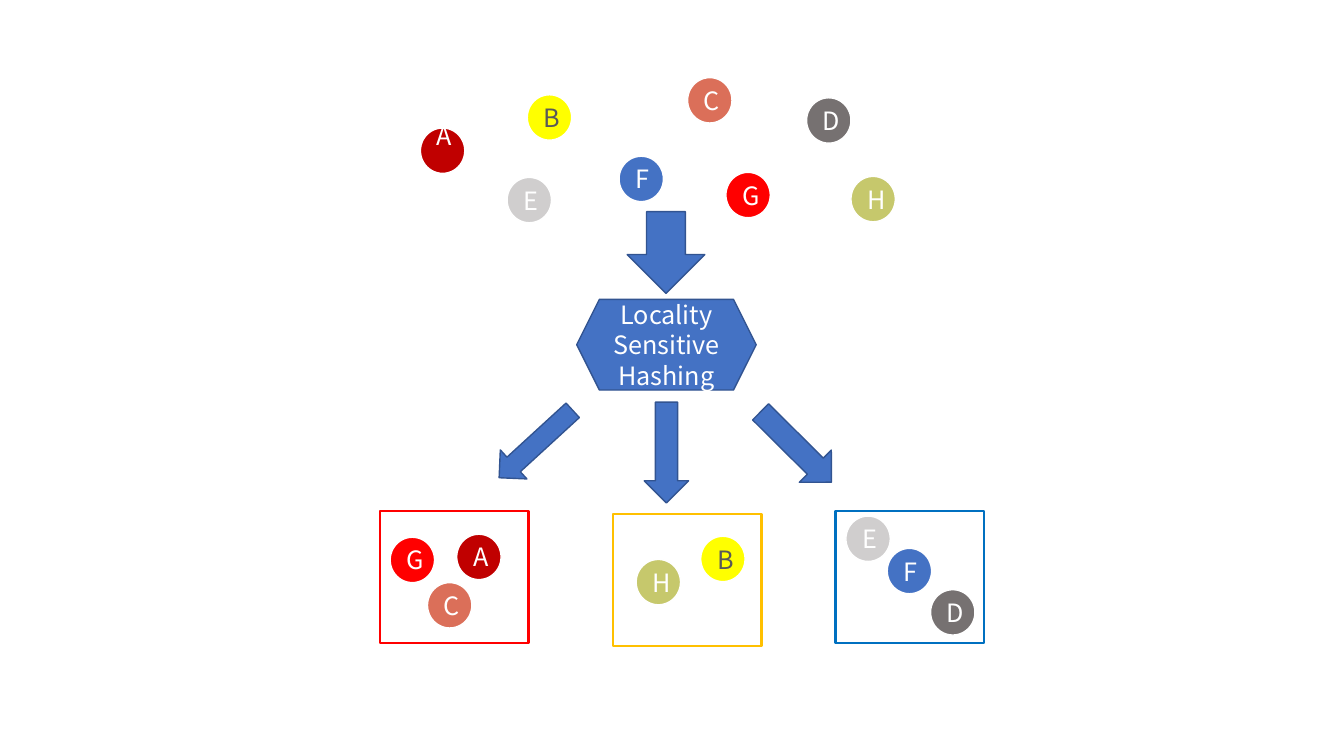
from pptx import Presentation
from pptx.dml.color import RGBColor
from pptx.enum.shapes import MSO_SHAPE
from pptx.enum.text import MSO_ANCHOR, PP_ALIGN
from pptx.util import Inches, Pt

FONT = "Noto Sans CJK SC"
BLUE, NAVY, WHITE = "4472C4", "325491", "FFFFFF"
ITEM_FILLS = {"A": "C00000", "B": "FFFF00", "C": "DB6F59", "D": "767171",
              "E": "D0CECE", "F": BLUE, "G": "FF0000", "H": "C6C86C"}


def rgb(color):
    return RGBColor.from_string(color)


def add_shape(s, kind, x, y, w, h, fill, line, line_width=1):
    sp = s.shapes.add_shape(kind, Inches(x), Inches(y), Inches(w), Inches(h))
    sp.shadow.inherit = False
    if fill:
        sp.fill.solid()
        sp.fill.fore_color.rgb = rgb(fill)
    else:
        sp.fill.background()
    sp.line.color.rgb = rgb(line)
    sp.line.width = Pt(line_width)
    return sp


def add_text(sp, lines, color=WHITE):
    tf = sp.text_frame
    tf.word_wrap = True
    tf.vertical_anchor = MSO_ANCHOR.MIDDLE
    for i, line in enumerate(lines):
        p = tf.add_paragraph() if i else tf.paragraphs[0]
        p.alignment = PP_ALIGN.CENTER
        r = p.add_run()
        r.text = line
        r.font.name = FONT
        r.font.size = Pt(18)
        r.font.color.rgb = rgb(color)


def add_items(s, x, y, items):
    """Place lettered circles at offsets from the corner (x, y)."""
    for label, dx, dy in items:
        letter = label.strip()
        sp = add_shape(s, MSO_SHAPE.FLOWCHART_CONNECTOR, x + dx, y + dy,
                       0.44, 0.45, ITEM_FILLS[letter], WHITE)
        add_text(sp, [label], "595959" if letter == "B" else WHITE)


def add_bucket(s, x, y, color, items):
    add_shape(s, MSO_SHAPE.RECTANGLE, x, y, 1.47, 1.31, None, color, 2)
    add_items(s, x, y, items)


def add_hash_step(s, x, y, w, h):
    sp = add_shape(s, MSO_SHAPE.HEXAGON, x, y, w, h, BLUE, NAVY)
    add_text(sp, ["Locality Sensitive", "Hashing"])


def add_arrow(s, x, y, w, h, angle):
    sp = add_shape(s, MSO_SHAPE.RIGHT_ARROW, x, y, w, h, BLUE, NAVY)
    sp.rotation = angle


def main():
    prs = Presentation()
    prs.slide_width, prs.slide_height = Inches(13.33), Inches(7.5)
    s = prs.slides.add_slide(prs.slide_layouts[6])

    add_items(s, 4.17, 0.77, [
        ("A ", 0, 0.5), ("B", 1.06, 0.17), ("C", 2.65, 0), ("E", 0.86, 0.99),
        ("H", 4.27, 0.98), ("G", 3.03, 0.94), ("F", 1.97, 0.78), ("D", 3.83, 0.2)])

    add_bucket(s, 3.77, 5.07, "FF0000",
               [("A", 0.76, 0.23), ("C", 0.47, 0.71), ("G", 0.1, 0.26)])
    add_bucket(s, 6.08, 5.1, "FFC000", [("H", 0.23, 0.45), ("B", 0.87, 0.22)])
    add_bucket(s, 8.29, 5.07, "0070C0",
               [("E", 0.1, 0.05), ("D", 0.94, 0.78), ("F", 0.51, 0.37)])

    add_hash_step(s, 5.72, 2.97, 1.78, 0.9)
    for arrow in [(7.4, 4.21, 0.99, 0.45, 44.8), (4.82, 4.21, 0.99, 0.39, 137.5),
                  (6.11, 4.27, 1, 0.44, 90), (6.2, 2.12, 0.81, 0.77, 90)]:
        add_arrow(s, *arrow)

    prs.save("out.pptx")


if __name__ == "__main__":
    main()
